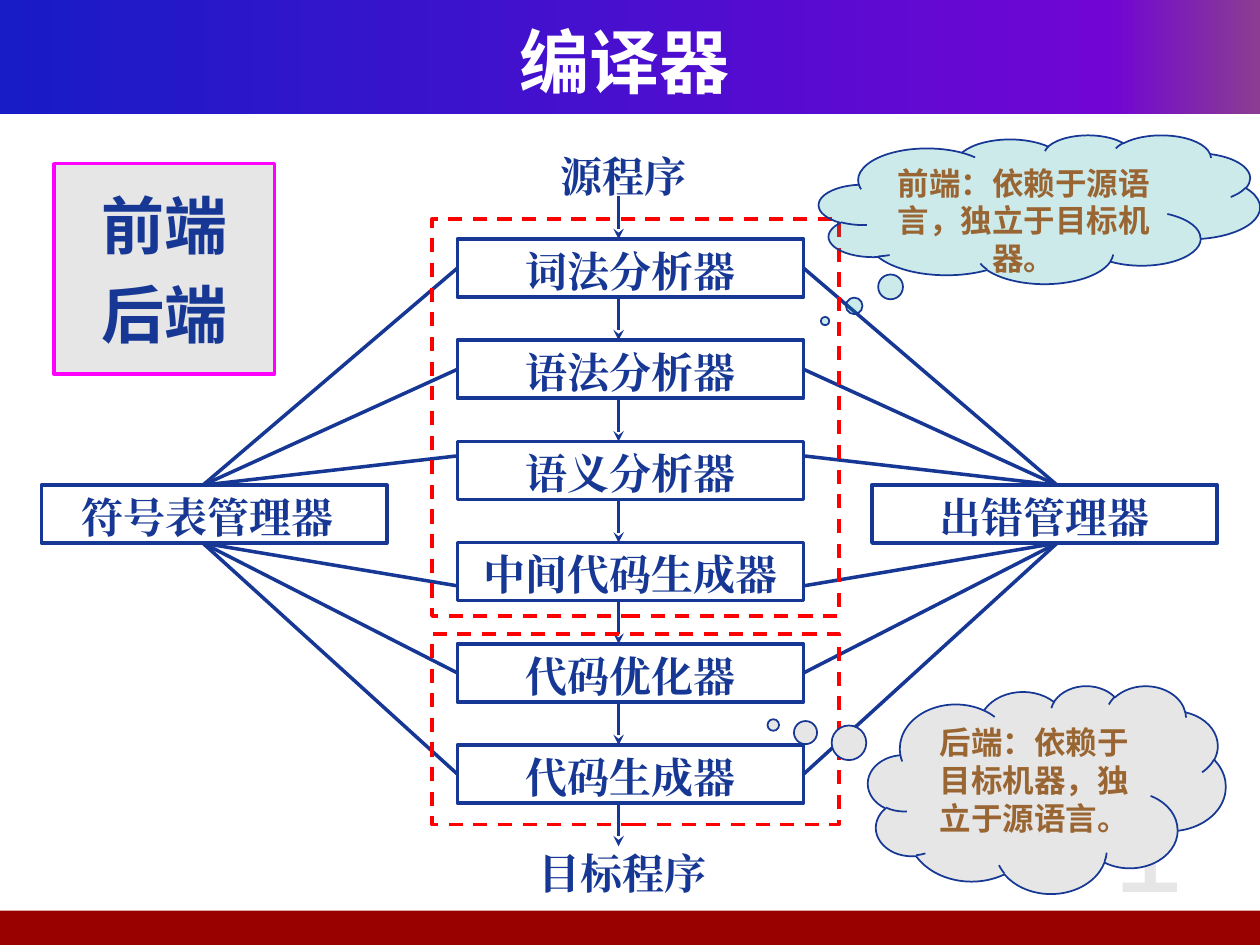
from copy import deepcopy

from pptx import Presentation
from pptx.dml.color import RGBColor
from pptx.enum.dml import MSO_LINE
from pptx.enum.shapes import MSO_CONNECTOR, MSO_SHAPE
from pptx.enum.text import MSO_ANCHOR, PP_ALIGN
from pptx.oxml.ns import qn
from pptx.util import Cm, Pt
from lxml.etree import SubElement

COLORS = {
    "navy": "163794", "white": "FFFFFF", "grey": "E6E6E6", "brown": "996633",
    "magenta": "FF00FF", "red": "FF0000", "teal": "009999", "footer": "990000",
}
BANNER_STOPS = [(0, "181CC7"), (0.88, "7005D4"), (1, "8C3D91")]
LABEL = {"size": 24, "font": "Times New Roman", "color": "navy", "bold": True}
NOTE = {"size": 18, "font": "Lato", "color": "brown", "bold": True}


def rgb(name):
    return RGBColor.from_string(COLORS[name])


class Diagram:
    def __init__(self, slide):
        self.slide = slide

    def outline(self, line, color, width, dash=None):
        line.color.rgb = rgb(color)
        line.width = Pt(width)
        if dash:
            line.dash_style = dash

    def letter(self, shape, lines, style, anchor=MSO_ANCHOR.TOP, gap=0, **frame_format):
        frame = shape.text_frame
        for name, value in ({"word_wrap": True, "vertical_anchor": anchor} | frame_format).items():
            setattr(frame, name, value)
        for i, line in enumerate(lines):
            paragraph = frame.add_paragraph() if i else frame.paragraphs[0]
            paragraph.alignment = PP_ALIGN.CENTER
            if i:
                paragraph.space_before = Pt(gap)
            run = paragraph.add_run()
            run.text = line
            font_format = {"size": Pt(style["size"]), "name": style["font"], "bold": style["bold"]}
            for name, value in font_format.items():
                setattr(run.font, name, value)
            run.font.color.rgb = rgb(style["color"])
            SubElement(run.font._element, qn("a:ea"), typeface=style["font"])

    def text(self, box, line, style, **text_format):
        label = self.slide.shapes.add_textbox(*map(Cm, box))
        self.letter(label, [line], style, **text_format)

    def shape(self, box, kind=MSO_SHAPE.RECTANGLE, fill=None, line=None, alpha=None, adjust=()):
        shape = self.slide.shapes.add_shape(kind, *map(Cm, box))
        shape.shadow.inherit = False
        for i, value in enumerate(adjust):
            shape.adjustments[i] = value
        if fill:
            shape.fill.solid()
            shape.fill.fore_color.rgb = rgb(fill)
        else:
            shape.fill.background()
        if alpha:
            color = next(shape._element.spPr.iter(qn("a:srgbClr")))
            SubElement(color, qn("a:alpha"), val=str(alpha * 1000))
        if line:
            self.outline(shape.line, *line)
        else:
            shape.line.fill.background()
        return shape

    def banner(self, box, stops):
        fill = self.shape(box).fill
        fill.gradient()
        fill.gradient_angle = 0
        first = next(iter(fill.gradient_stops))._gs
        for _ in range(len(stops) - len(fill.gradient_stops)):
            first.addnext(deepcopy(first))
        for stop, (position, color) in zip(fill.gradient_stops, stops):
            stop.position = position
            stop.color.rgb = RGBColor.from_string(color)

    def box(self, box, line, **text_format):
        shape = self.shape(box, line=("navy", 2))
        self.letter(shape, [line], LABEL, **text_format)
        return shape

    def cloud(self, box, line, **look):
        shape = self.shape(box, MSO_SHAPE.CLOUD_CALLOUT, line=("navy", 1), **look)
        self.letter(shape, [line], NOTE)

    def connect(self, start, end, arrow=False):
        link = self.slide.shapes.add_connector(MSO_CONNECTOR.STRAIGHT, *map(Cm, start + end))
        self.outline(link.line, "navy", 2)
        if arrow:
            SubElement(link.line._get_or_add_ln(), qn("a:tailEnd"), type="stealth")
        SubElement(link._element.spPr, qn("a:effectLst"))
        return link


def main():
    deck = Presentation()
    deck.slide_width, deck.slide_height = Cm(25.4), Cm(19.05)
    diagram = Diagram(deck.slides.add_slide(deck.slide_layouts[6]))

    # Banner, footer, title and page number
    diagram.banner((0, 0, 25.4, 2.31), BANNER_STOPS)
    diagram.shape((-0.1, 18.36, 25.5, 0.69), fill="footer")
    diagram.text((0.84, 0.43, 23.5, 1.57), "编译器",
                 {"size": 40, "font": "Noto Sans CJK SC", "color": "white", "bold": True},
                 anchor=MSO_ANCHOR.MIDDLE)
    diagram.text((20.9, 15.32, 4.5, 3.6), "1",
                 {"size": 72, "font": "Arial", "color": "grey", "bold": False})

    # Compiler stages between source and target program
    left, top, width, height, pitch = 9.22, 4.82, 6.98, 1.17, 2.04
    stage_names = ["词法分析器", "语法分析器", "语义分析器", "中间代码生成器", "代码优化器", "代码生成器"]
    stages = [diagram.box((left, top + i * pitch, width, height), name)
              for i, name in enumerate(stage_names)]
    diagram.text((9.09, 2.9, width, height), "源程序", LABEL)
    diagram.text((9.53, 16.97, 6.05, height), "目标程序", LABEL)

    # Managers on both sides
    manager_top = 9.78
    diagram.box((17.58, manager_top, 6.96, height), "出错管理器")
    diagram.box((0.84, manager_top, 6.96, height), "符号表管理器", margin_right=Cm(0.54))

    # Flow arrows
    flow_x, flow_gap = 12.47, pitch - height
    for i in range(len(stages) + 1):
        end = top + i * pitch
        diagram.connect((flow_x, end - flow_gap), (flow_x, end), arrow=True)

    # Lines from stages to managers; the two inner stages attach off-centre
    off_centre = {2: 9.19, 3: 11.81}
    for i, stage in enumerate(stages):
        hub_y = manager_top if i < 3 else manager_top + height
        stage_y = off_centre.get(i, top + i * pitch + height / 2)
        for side_x, hub_x, site in ((left, 4.09, 1), (left + width, 21.31, 3)):
            link = diagram.connect((side_x, stage_y), (hub_x, hub_y))
            if i not in off_centre:
                link.begin_connect(stage, site)

    # Front end and back end key
    key = diagram.shape((1.09, 3.3, 4.45, 4.24), fill="grey", line=("magenta", 2))
    diagram.letter(key, ["前端", "后端"], LABEL | {"size": 36, "font": "Courier New"},
                   anchor=MSO_ANCHOR.MIDDLE, gap=7.2, word_wrap=False)

    # Dashed frames and their thought clouds
    frame = ("red", 2, MSO_LINE.DASH)
    diagram.shape((8.71, 4.42, 8.2, 8), line=frame)
    diagram.cloud((16.51, 2.72, 8.89, 3), "前端：依赖于源语言，独立于目标机器。",
                  fill="teal", alpha=20, adjust=(-0.486, 0.751))
    diagram.shape((8.71, 12.78, 8.2, 3.84), line=frame)
    diagram.cloud((17.5, 13.82, 7.21, 4.19), "后端：依赖于目标机器，独立于源语言。",
                  fill="grey", adjust=(-0.765, -0.31))

    deck.save("out.pptx")


if __name__ == "__main__":
    main()
